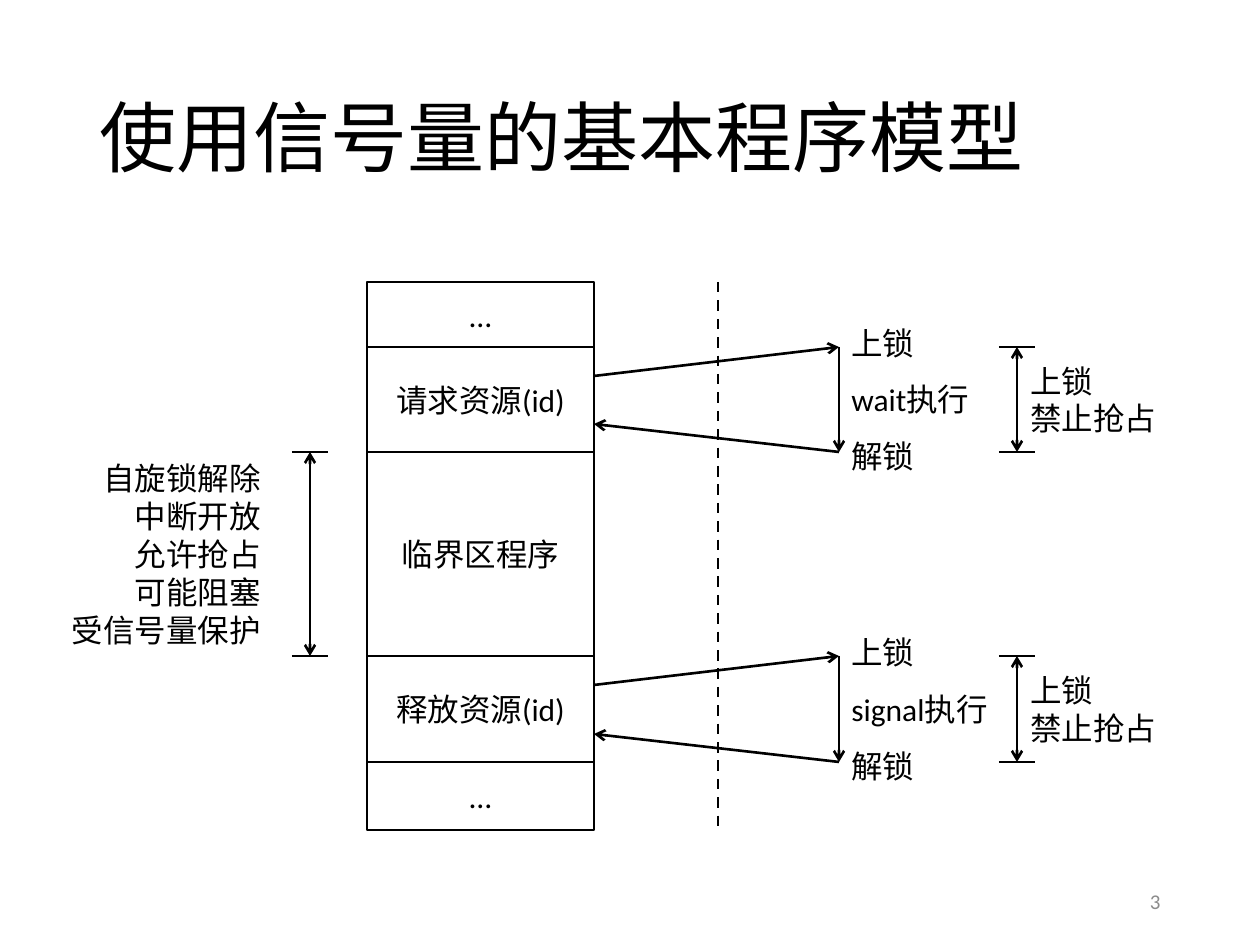
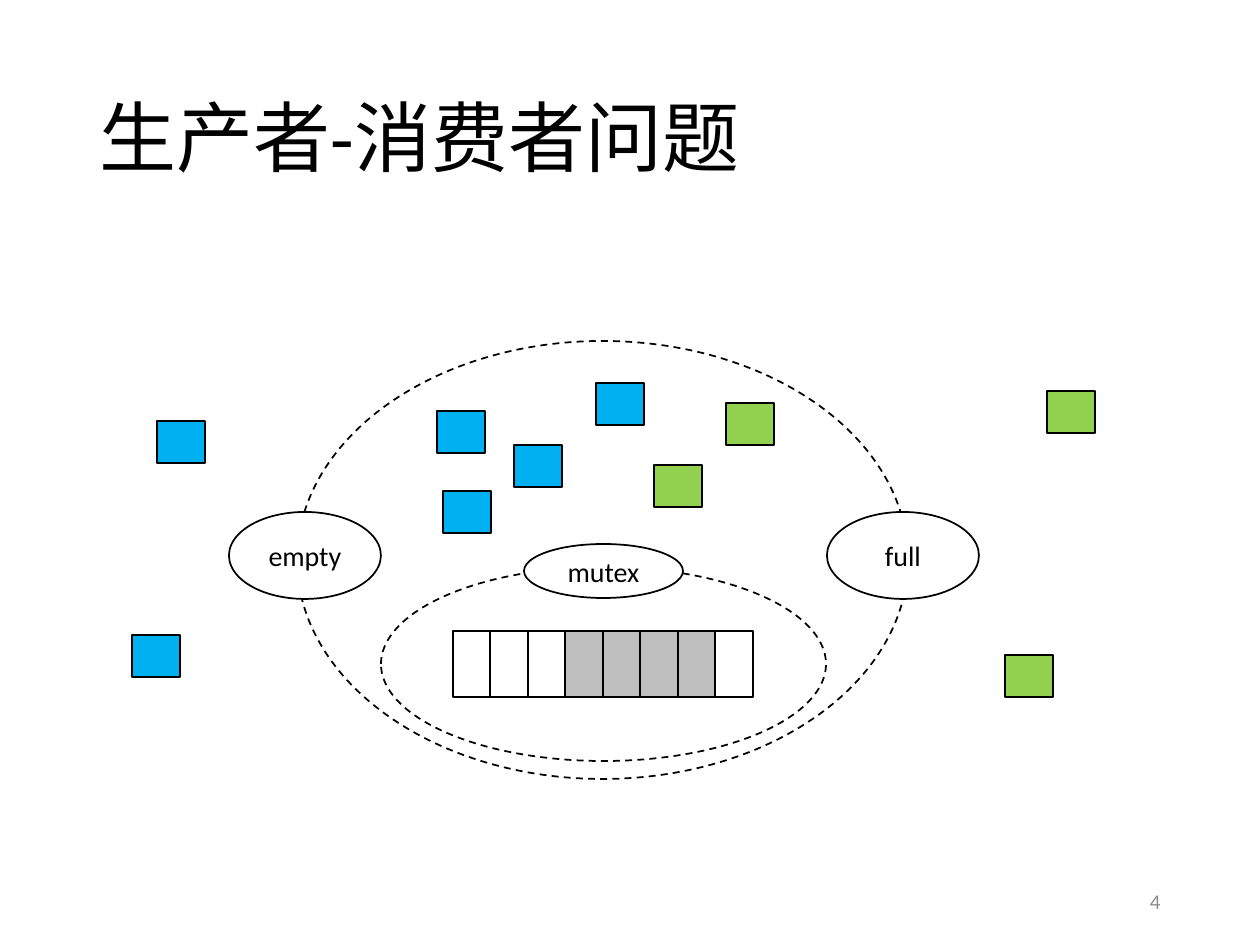
import pptx
import pptx.util
import pptx.dml.color
import pptx.enum.dml
import pptx.enum.shapes
import pptx.enum.text
import pptx.oxml.ns
import lxml.etree

EMU_PER_PX = 914400 / 126
FONT = "Calibri"
BLACK, WHITE, FOLIO_GRAY = "000000", "FFFFFF", "8C8C8C"
FILLED_GRAY, PRODUCER_BLUE, CONSUMER_GREEN = "BFBFBF", "00B0F0", "92D050"
ALIGN = pptx.enum.text.PP_ALIGN
SHAPE = pptx.enum.shapes.MSO_SHAPE
DASH = pptx.enum.dml.MSO_LINE.DASH


def px(length):
    return pptx.util.Emu(round(length * EMU_PER_PX))


def color(hex_code):
    return pptx.dml.color.RGBColor.from_string(hex_code)


def write(frame, lines, size, align=ALIGN.LEFT, ink=BLACK, spacing=None):
    frame.vertical_anchor = pptx.enum.text.MSO_ANCHOR.MIDDLE
    frame.text = "\n".join(lines)
    for paragraph in frame.paragraphs:
        paragraph.alignment = align
        paragraph.line_spacing = spacing
        paragraph.font.name = FONT
        paragraph.font.size = pptx.util.Pt(size)
        paragraph.font.color.rgb = color(ink)


def add_label(slide, box, lines, size=18, **style):
    label = slide.shapes.add_textbox(*map(px, box))
    label.text_frame.word_wrap = True
    write(label.text_frame, lines, size, **style)


def set_line(line, width, dash=None):
    line.color.rgb = color(BLACK)
    line.width = pptx.util.Pt(width)
    if dash:
        line.dash_style = dash


def add_outline(shapes, kind, box, fill=None, width=1, dash=None):
    outline = shapes.add_shape(kind, *map(px, box))
    outline.shadow.inherit = False
    if fill:
        outline.fill.solid()
        outline.fill.fore_color.rgb = color(fill)
    else:
        outline.fill.background()
    set_line(outline.line, width, dash)
    return outline


def add_line(slide, start, end, arrows=(), dash=None):
    connector = slide.shapes.add_connector(
        pptx.enum.shapes.MSO_CONNECTOR.STRAIGHT, *map(px, start + end))
    set_line(connector.line, 1.5, dash)
    properties = connector._element.spPr
    stroke = properties.find(pptx.oxml.ns.qn("a:ln"))
    for arrow_end in arrows:
        lxml.etree.SubElement(stroke, pptx.oxml.ns.qn("a:" + arrow_end), type="arrow")
    lxml.etree.SubElement(properties, pptx.oxml.ns.qn("a:effectLst"))


def add_page(deck, title, number):
    slide = deck.slides.add_slide(deck.slide_layouts[6])
    add_label(slide, (87, 50, 1086, 183), [title], 44, spacing=0.9)
    add_label(slide, (890, 876, 283, 50), [str(number)], 12,
              align=ALIGN.RIGHT, ink=FOLIO_GRAY)
    return slide


def add_span(slide, center, top, bottom):
    for y in (top, bottom):
        add_line(slide, (center - 18, y), (center + 18, y))
    add_line(slide, (center, top), (center, bottom), ("headEnd", "tailEnd"))


def add_semaphore_call(slide, program_right, top, bottom, operation):
    kernel = 839
    add_line(slide, (program_right, top + 29), (kernel, top), ("tailEnd",))
    add_line(slide, (kernel, bottom), (program_right, bottom - 28), ("tailEnd",))
    add_line(slide, (kernel, top), (kernel, bottom), ("tailEnd",))
    steps = (("上锁", top - 4), (operation, (top + bottom) // 2), ("解锁", bottom + 4))
    for step, middle in steps:
        add_label(slide, (kernel, middle - 25, 180, 50), [step])
    add_span(slide, 1017, top, bottom)
    add_label(slide, (1018, top + 8, 178, bottom - top - 16), ["上锁", "禁止抢占"])


def build_program_model(deck):
    slide = add_page(deck, "使用信号量的基本程序模型", 3)
    left, right = 367, 594
    edges = [282, 347, 452, 656, 762, 830]
    stages = ["…", "请求资源(id)", "临界区程序", "释放资源(id)", "…"]
    for stage, top, bottom in zip(stages, edges, edges[1:]):
        block = add_outline(slide.shapes, SHAPE.RECTANGLE,
                            (left, top, right - left, bottom - top), width=0.75)
        block.text_frame.word_wrap = False
        write(block.text_frame, [stage], 18, ALIGN.CENTER)
    add_line(slide, (718, edges[0]), (718, edges[-1]), dash=DASH)
    add_semaphore_call(slide, right, edges[1], edges[2], "wait执行")
    add_semaphore_call(slide, right, edges[3], edges[4], "signal执行")
    add_span(slide, 310, edges[2], edges[3])
    add_label(slide, (53, edges[2], 220, edges[3] - edges[2]),
              ["自旋锁解除", "中断开放", "允许抢占", "可能阻塞", "受信号量保护"],
              align=ALIGN.RIGHT)


def add_buffer(slide):
    left, top, width, height, slots = 453, 631, 300, 66, 8
    buffer = slide.shapes.add_group_shape()
    for slot in range(slots):
        start = left + width * slot // slots
        end = left + width * (slot + 1) // slots
        add_outline(buffer.shapes, SHAPE.RECTANGLE, (start, top, end - start, height),
                    FILLED_GRAY if 3 <= slot <= 6 else None)


def add_processes(slide, fill, corners):
    for corner in corners:
        add_outline(slide.shapes, SHAPE.RECTANGLE, corner + (48, 42), fill)


def add_semaphore(slide, name, box):
    semaphore = add_outline(slide.shapes, SHAPE.OVAL, box, WHITE)
    write(semaphore.text_frame, [name], 16, ALIGN.CENTER)


def build_producer_consumer(deck):
    slide = add_page(deck, "生产者-消费者问题", 4)
    add_buffer(slide)
    add_outline(slide.shapes, SHAPE.OVAL, (381, 567, 445, 194), dash=DASH)
    add_semaphore(slide, "mutex", (524, 544, 159, 54))
    add_outline(slide.shapes, SHAPE.OVAL, (297, 341, 611, 438), dash=DASH)
    add_semaphore(slide, "full", (827, 512, 152, 87))
    add_semaphore(slide, "empty", (229, 512, 152, 87))
    add_processes(slide, PRODUCER_BLUE, [
        (443, 491), (514, 445), (437, 411), (596, 383), (157, 421), (132, 635)])
    add_processes(slide, CONSUMER_GREEN, [
        (654, 465), (726, 403), (1047, 391), (1005, 655)])


def main():
    deck = pptx.Presentation()
    deck.slide_width, deck.slide_height = px(1260), px(945)
    build_program_model(deck)
    build_producer_consumer(deck)
    deck.save("out.pptx")


if __name__ == "__main__":
    main()
